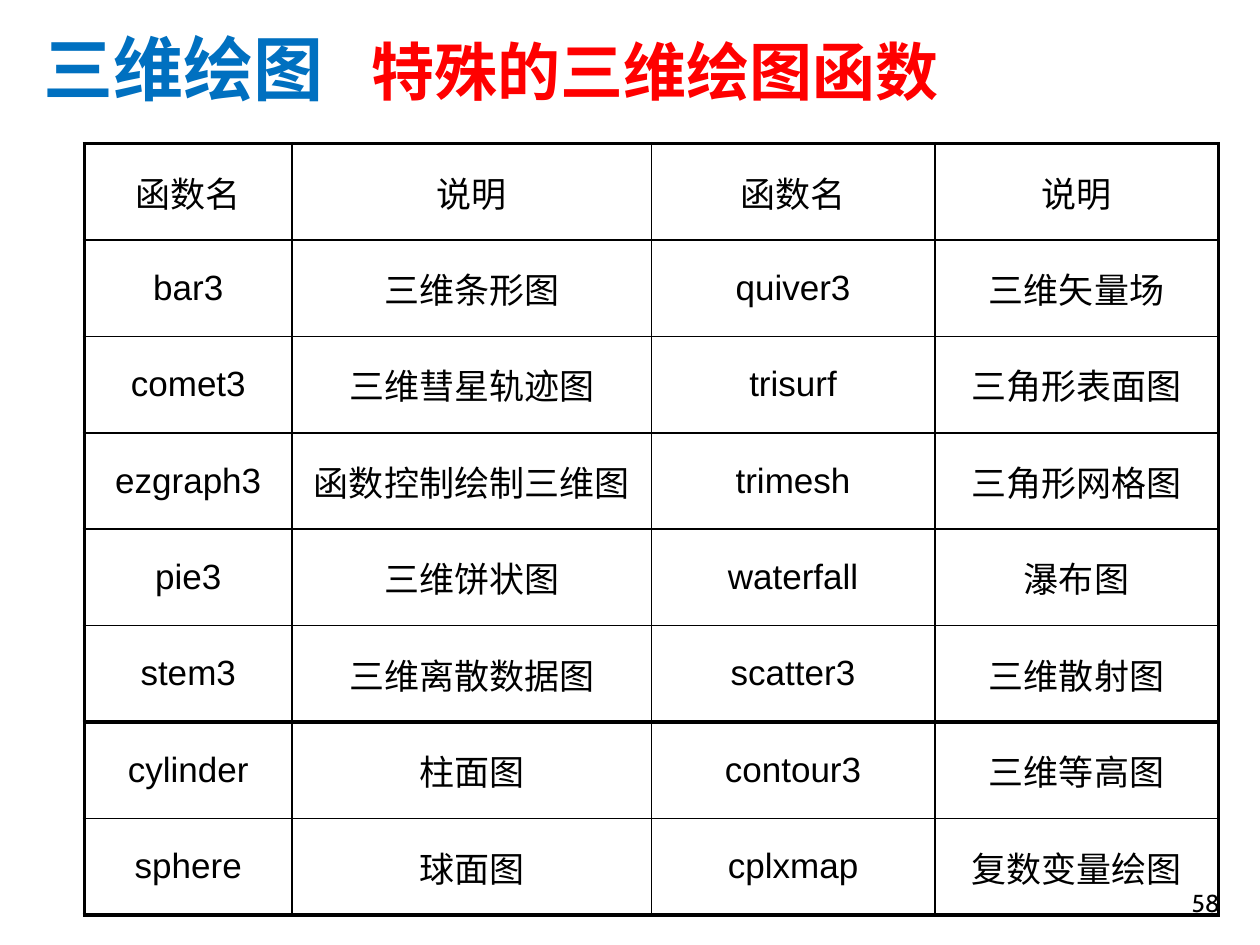
import dataclasses

import pptx
import pptx.dml.color
import pptx.enum.text
import pptx.oxml
import pptx.oxml.ns
import pptx.util

Pt = pptx.util.Pt
RGB = pptx.dml.color.RGBColor.from_string
ALIGN = pptx.enum.text.PP_ALIGN
ANCHOR = pptx.enum.text.MSO_ANCHOR


@dataclasses.dataclass(frozen=True)
class Theme:
    """Colours, fonts, type sizes and line widths of the slide."""

    ink: str = "000000"
    topic: str = "0070C0"
    subject: str = "FF0000"
    font: str = "Arial"
    number_font: str = "Cabin"
    topic_size: float = 40
    subject_size: float = 36
    cell_size: float = 20
    number_size: float = 14
    thin: float = 1
    thick: float = 2.25


THEME = Theme()
COLUMNS = (118.8, 205.2, 162, 162)
ROW_HEIGHT = 55.1
TABLE_LEFT, TABLE_TOP = 48.2, 82.1
MAIN_ROWS = (
    ("函数名", "说明", "函数名", "说明"),
    ("bar3", "三维条形图", "quiver3", "三维矢量场"),
    ("comet3", "三维彗星轨迹图", "trisurf", "三角形表面图"),
    ("ezgraph3", "函数控制绘制三维图", "trimesh", "三角形网格图"),
    ("pie3", "三维饼状图", "waterfall", "瀑布图"),
    ("stem3", "三维离散数据图", "scatter3", "三维散射图"),
)
SURFACE_ROWS = (
    ("cylinder", "柱面图", "contour3", "三维等高图"),
    ("sphere", "球面图", "cplxmap", "复数变量绘图"),
)


def style_font(font, name, size, color, bold=False):
    """Set the face, size, colour and weight of a font."""
    font.name, font.size, font.bold = name, Pt(size), bold
    font.color.rgb = RGB(color)


def add_text_box(slide, box):
    """Add a wrapping, bottom-anchored text box and return its paragraph."""
    tf = slide.shapes.add_textbox(*map(Pt, box)).text_frame
    tf.word_wrap = True
    tf.vertical_anchor = ANCHOR.BOTTOM
    return tf.paragraphs[0]


def add_tab_stop(p, position):
    """Give a paragraph one left tab stop."""
    p._p.get_or_add_pPr().append(pptx.oxml.parse_xml(
        f'<a:tabLst {pptx.oxml.ns.nsdecls("a")}>'
        f'<a:tab pos="{int(Pt(position))}" algn="l"/></a:tabLst>'))


def add_title(slide, box, topic, subject, subject_offset):
    """Write the topic and the subject on one line, parted by a tab."""
    p = add_text_box(slide, box)
    add_tab_stop(p, subject_offset)
    for text, size, color in (
        (topic + "\t", THEME.topic_size, THEME.topic),
        (subject, THEME.subject_size, THEME.subject),
    ):
        r = p.add_run()
        r.text = text
        style_font(r.font, THEME.font, size, color, bold=True)


def add_page_number(slide, box, number):
    """Write the page number at the lower right of its box."""
    p = add_text_box(slide, box)
    p.text = number
    p.alignment = ALIGN.RIGHT
    style_font(p.font, THEME.number_font, THEME.number_size, THEME.ink)


def set_borders(cell, widths):
    """Draw the left, right, top and bottom borders of a cell."""
    tc_pr = cell._tc.get_or_add_tcPr()
    for side, width in zip("LRTB", widths):
        tc_pr.append(pptx.oxml.parse_xml(
            f'<a:ln{side} {pptx.oxml.ns.nsdecls("a")} w="{int(Pt(width))}">'
            f'<a:solidFill><a:srgbClr val="{THEME.ink}"/></a:solidFill>'
            f'</a:ln{side}>'))


def fill_cell(cell, text):
    """Write centred text in an unfilled cell."""
    cell.fill.background()
    cell.vertical_anchor = ANCHOR.MIDDLE
    p = cell.text_frame.paragraphs[0]
    p.text = text
    p.alignment = ALIGN.CENTER
    p.space_before = Pt(0.2 * THEME.cell_size)
    style_font(p.font, THEME.font, THEME.cell_size, THEME.ink)


def add_function_table(slide, left, top, rows, top_width):
    """Add a function table with a thick frame and return its bottom."""
    height = ROW_HEIGHT * len(rows)
    table = slide.shapes.add_table(
        len(rows), len(COLUMNS), Pt(left), Pt(top),
        Pt(sum(COLUMNS)), Pt(height)).table
    table.first_row = table.horz_banding = False
    for column, width in zip(table.columns, COLUMNS):
        column.width = Pt(width)
    for i, texts in enumerate(rows):
        table.rows[i].height = Pt(ROW_HEIGHT)
        for j, text in enumerate(texts):
            cell = table.cell(i, j)
            set_borders(cell, (
                THEME.thick if j == 0 else THEME.thin,
                THEME.thick if j == len(COLUMNS) - 1 else THEME.thin,
                top_width if i == 0 else THEME.thin,
                THEME.thick if i == len(rows) - 1 else THEME.thin,
            ))
            fill_cell(cell, text)
    return top + height


def main():
    """Build and save the slide."""
    prs = pptx.Presentation()
    prs.slide_width, prs.slide_height = Pt(720), Pt(540)
    slide = prs.slides.add_slide(prs.slide_layouts[6])
    bottom = add_function_table(
        slide, TABLE_LEFT, TABLE_TOP, MAIN_ROWS, THEME.thick)
    add_title(slide, (18, 15.1, 790, 51.1),
              "三维绘图", "特殊的三维绘图函数", 187)
    add_function_table(slide, TABLE_LEFT, bottom, SURFACE_ROWS, THEME.thin)
    add_page_number(slide, (554.4, 491.8, 149.8, 36), "58")
    prs.save("out.pptx")


if __name__ == "__main__":
    main()
